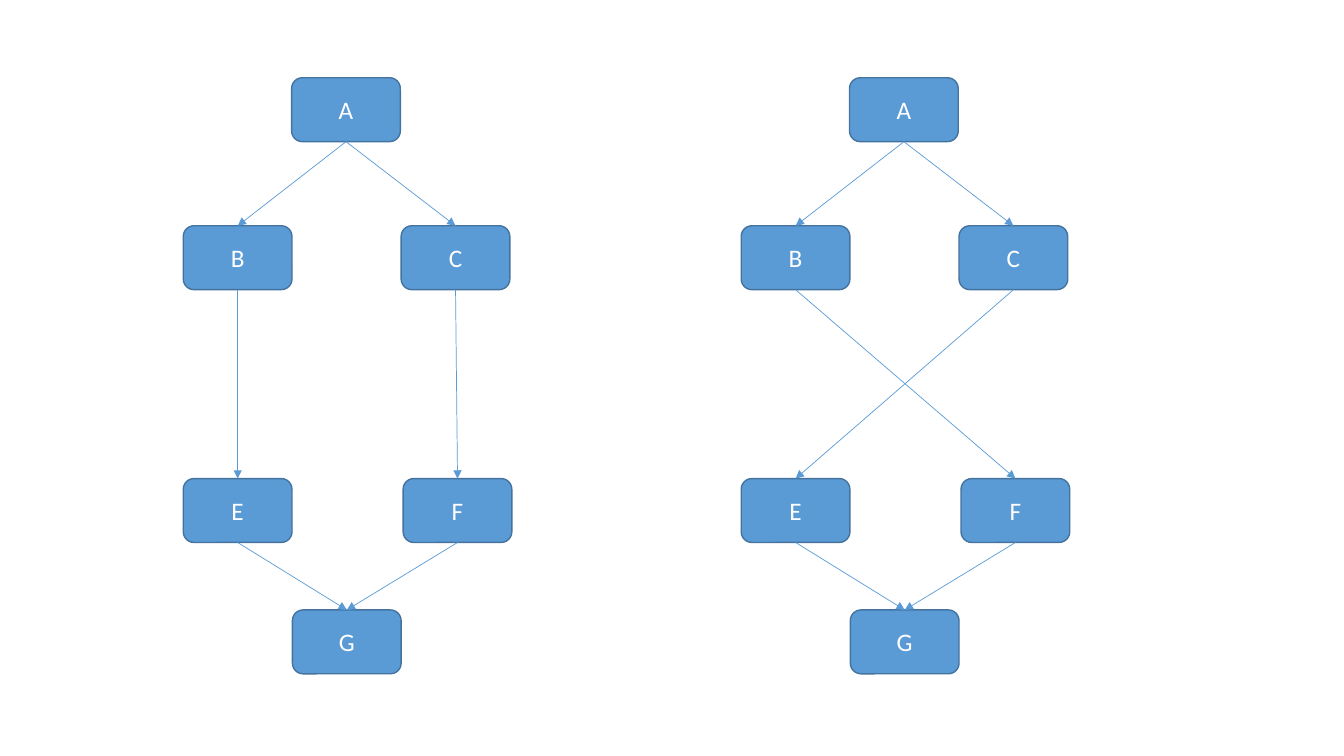
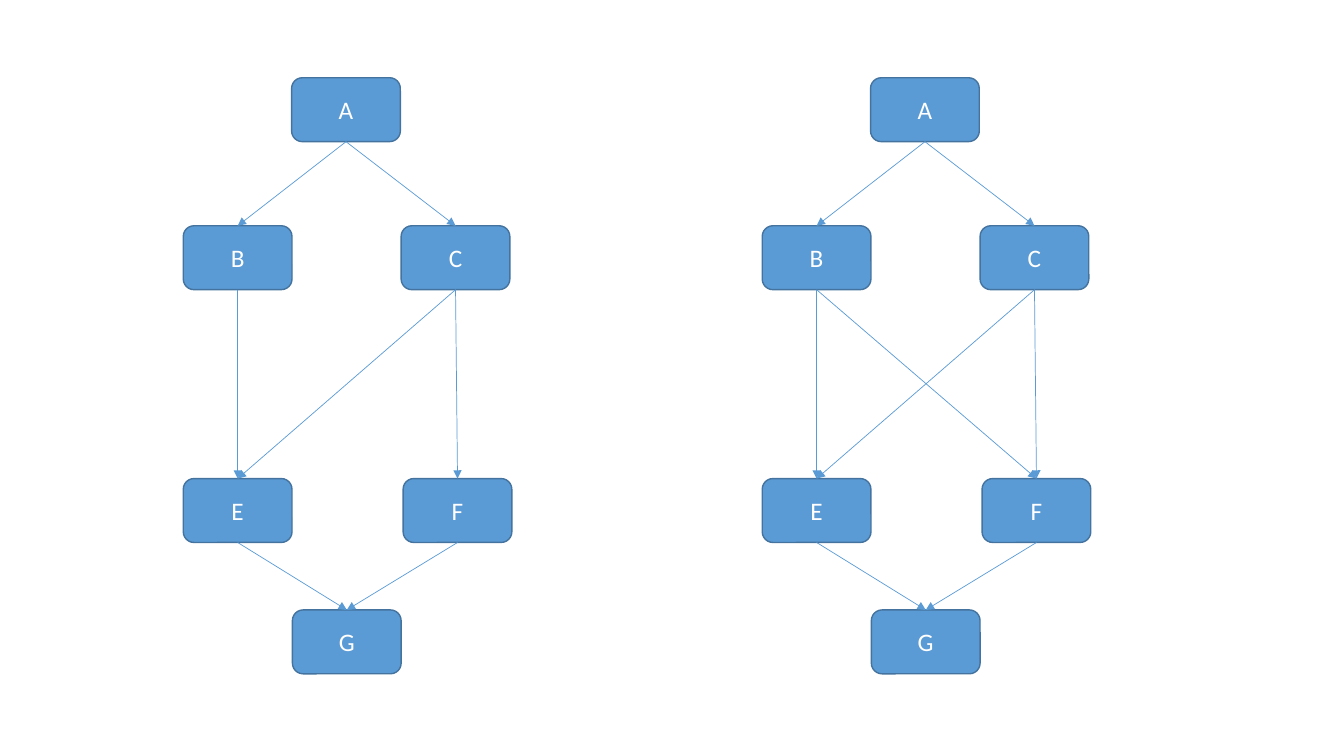
from lxml import etree
from pptx import Presentation
from pptx.dml.color import RGBColor
from pptx.enum.shapes import MSO_CONNECTOR, MSO_SHAPE
from pptx.enum.text import MSO_ANCHOR, PP_ALIGN
from pptx.oxml.ns import qn
from pptx.util import Cm, Pt

ROUNDED = MSO_SHAPE.ROUNDED_RECTANGLE
STRAIGHT = MSO_CONNECTOR.STRAIGHT
MIDDLE = MSO_ANCHOR.MIDDLE
CENTER = PP_ALIGN.CENTER
TOP_SITE, BOTTOM_SITE = 0, 2
BLANK_LAYOUT = 6

COLORS = {"node": "5B9BD5", "outline": "43739E", "arrow": "5B9BD5", "label": "FFFFFF"}
FONT = "Calibri"
NODE_WIDTH, NODE_HEIGHT = 2.74, 1.61

NODES = {
    "A": (2.73, 1.96),
    "B": (0, 5.69),
    "C": (5.49, 5.69),
    "E": (0, 12.06),
    "F": (5.54, 12.06),
    "G": (2.75, 15.37),
}
SHARED_EDGES = ["AB", "AC", "EG", "FG"]
SLIDES = [
    [(4.62, ["BE", "CF"]), (18.68, ["BF", "CE"])],
    [(4.62, ["BE", "CF", "CE"]), (19.21, ["BE", "CF", "CE", "BF"])],
]


def color(name):
    return RGBColor.from_string(COLORS[name])


def add_node(page, label, left, top):
    box = page.shapes.add_shape(ROUNDED, Cm(left), Cm(top), Cm(NODE_WIDTH), Cm(NODE_HEIGHT))
    box.shadow.inherit = False
    box.fill.solid()
    box.fill.fore_color.rgb = color("node")
    box.line.color.rgb = color("outline")
    box.line.width = Pt(1)
    box.text_frame.vertical_anchor = MIDDLE
    para = box.text_frame.paragraphs[0]
    para.alignment = CENTER
    span = para.add_run()
    span.text = label
    span.font.name = FONT
    span.font.size = Pt(18)
    span.font.color.rgb = color("label")
    return box


def add_arrow(page, source, target):
    arrow = page.shapes.add_connector(STRAIGHT, 0, 0, 0, 0)
    arrow.begin_connect(source, BOTTOM_SITE)
    arrow.end_connect(target, TOP_SITE)
    arrow.line.color.rgb = color("arrow")
    arrow.line.width = Pt(0.5)
    properties = arrow.element.spPr
    etree.SubElement(properties.find(qn("a:ln")), qn("a:tailEnd"), type="triangle")
    etree.SubElement(properties, qn("a:effectLst"))


def add_graph(page, left, edges):
    boxes = {label: add_node(page, label, left + offset, top)
             for label, (offset, top) in NODES.items()}
    for source, target in SHARED_EDGES + edges:
        add_arrow(page, boxes[source], boxes[target])


def main():
    deck = Presentation()
    deck.slide_width = Cm(33.87)
    deck.slide_height = Cm(19.05)
    for graphs in SLIDES:
        page = deck.slides.add_slide(deck.slide_layouts[BLANK_LAYOUT])
        for left, edges in graphs:
            add_graph(page, left, edges)
    deck.save("out.pptx")


main()
